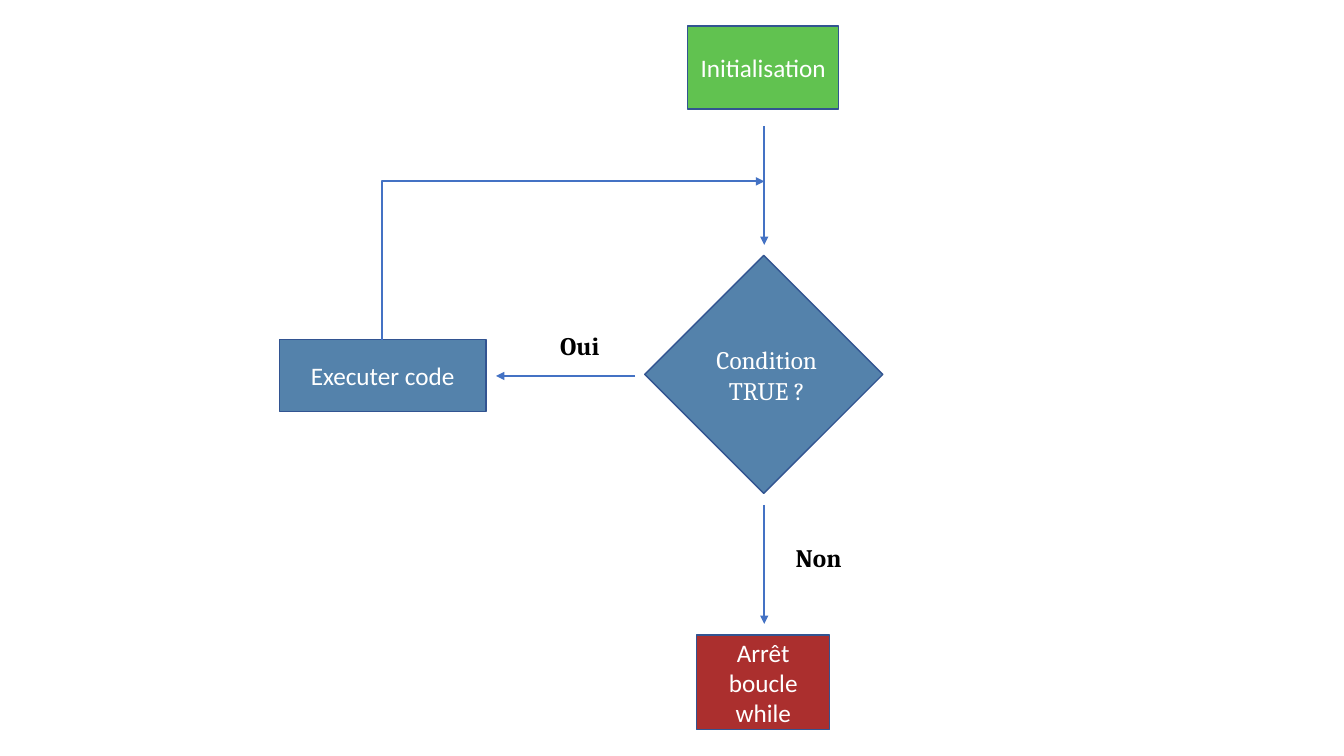
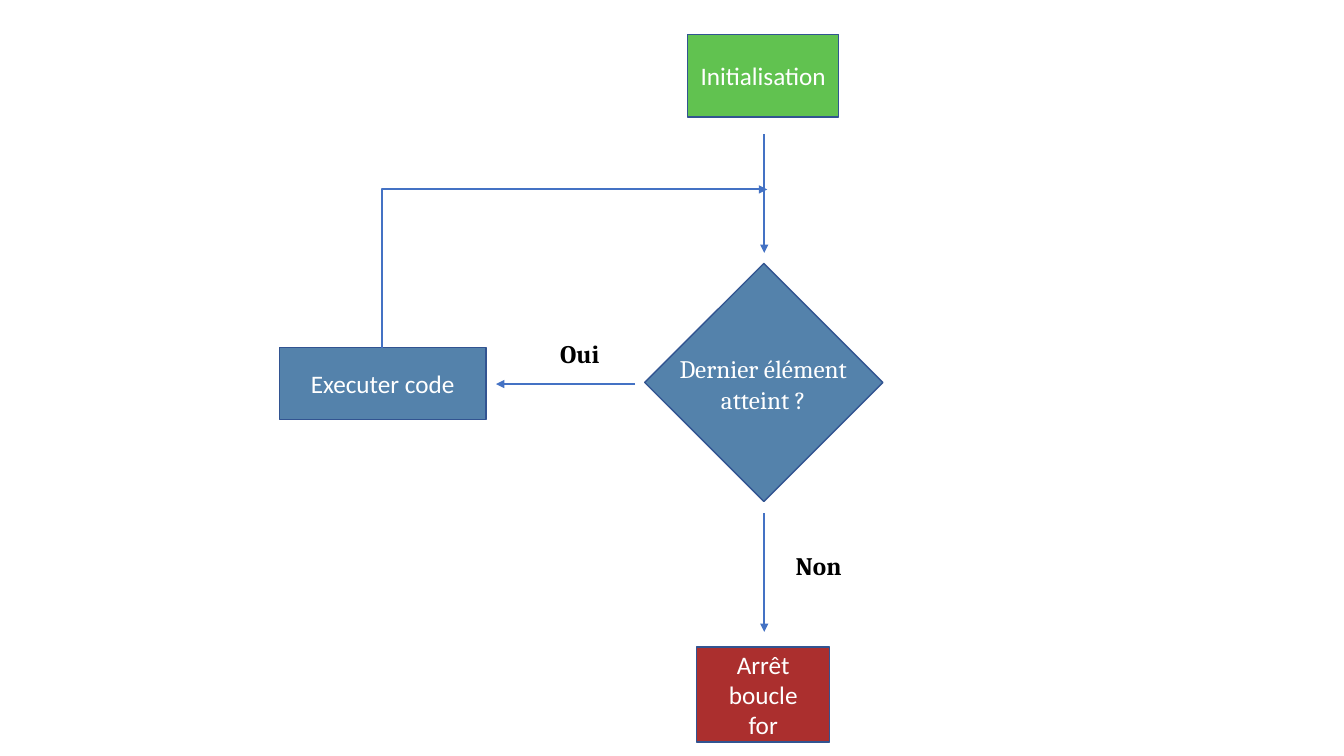
"""Draw the flowcharts of the while loop and the for loop, one per slide."""
from dataclasses import dataclass

from lxml import etree
from pptx import Presentation
from pptx.dml.color import RGBColor
from pptx.enum import shapes, text
from pptx.oxml import ns
from pptx.util import Inches, Pt

WHITE = RGBColor(0xFF, 0xFF, 0xFF)
BLACK = RGBColor(0x00, 0x00, 0x00)
STEEL = RGBColor(0x54, 0x82, 0xAB)
GREEN = RGBColor(0x61, 0xC2, 0x50)
RED = RGBColor(0xAB, 0x2F, 0x2E)
BORDER = RGBColor(0x32, 0x54, 0x91)
ARROW = RGBColor(0x44, 0x72, 0xC4)
SHAPE_FONT, LABEL_FONT = "Calibri", "Cambria"
AXIS = 7.58
CODE_AXIS = 3.79


@dataclass(frozen=True)
class Area:
    left: float
    top: float
    width: float
    height: float

    def lengths(self):
        return [Inches(value) for value in (self.left, self.top, self.width, self.height)]


@dataclass(frozen=True)
class Box:
    area: Area
    fill: RGBColor
    lines: tuple[str, ...] = ()
    rotation: float = 0


@dataclass(frozen=True)
class Label:
    area: Area
    lines: tuple[str, ...]
    color: RGBColor = BLACK
    bold: bool = True


@dataclass(frozen=True)
class Arrow:
    start: tuple[float, float]
    end: tuple[float, float]


@dataclass(frozen=True)
class Loop:
    shift: float
    question: Label
    stop: Box
    return_end: float


def write(frame, lines: tuple[str, ...], font_name: str, color: RGBColor, bold: bool = False) -> None:
    frame.word_wrap = True
    for index, line in enumerate(lines):
        paragraph = frame.paragraphs[0] if index == 0 else frame.add_paragraph()
        paragraph.text = line
        paragraph.alignment = text.PP_ALIGN.CENTER
        font = paragraph.font
        font.name, font.size, font.bold = font_name, Pt(18), bold
        font.color.rgb = color


def draw_box(slide, box: Box) -> None:
    shape = slide.shapes.add_shape(shapes.MSO_SHAPE.RECTANGLE, *box.area.lengths())
    shape.shadow.inherit = False
    shape.rotation = box.rotation
    shape.fill.solid()
    shape.fill.fore_color.rgb = box.fill
    shape.line.color.rgb = BORDER
    shape.line.width = Pt(1)
    shape.text_frame.vertical_anchor = text.MSO_ANCHOR.MIDDLE
    write(shape.text_frame, box.lines, SHAPE_FONT, WHITE)


def draw_label(slide, label: Label) -> None:
    frame = slide.shapes.add_textbox(*label.area.lengths()).text_frame
    write(frame, label.lines, LABEL_FONT, label.color, label.bold)
    frame.auto_size = text.MSO_AUTO_SIZE.SHAPE_TO_FIT_TEXT


def draw_arrow(slide, arrow: Arrow, kind=shapes.MSO_CONNECTOR.STRAIGHT):
    points = [Inches(value) for value in (*arrow.start, *arrow.end)]
    connector = slide.shapes.add_connector(kind, *points)
    connector.line.color.rgb = ARROW
    connector.line.width = Pt(1.5)
    etree.SubElement(connector.line._get_or_add_ln(), ns.qn("a:tailEnd"), type="triangle")
    etree.SubElement(connector._element.spPr, ns.qn("a:effectLst"))
    return connector


def draw_return(slide, arrow: Arrow) -> None:
    """Go up from the start, then right to the end, as a flipped corner turned by 90 degrees."""
    (start_x, start_y), (end_x, end_y) = arrow.start, arrow.end
    middle_x, middle_y = (start_x + end_x) / 2, (start_y + end_y) / 2
    half_width, half_height = (start_y - end_y) / 2, (end_x - start_x) / 2
    turned = Arrow((middle_x + half_width, middle_y + half_height),
                   (middle_x - half_width, middle_y - half_height))
    connector = draw_arrow(slide, turned, shapes.MSO_CONNECTOR.ELBOW)
    properties = connector._element.spPr
    properties.find(ns.qn("a:xfrm")).set("rot", "5400000")
    properties.find(ns.qn("a:prstGeom")).set("prst", "bentConnector2")


def draw_loop(slide, loop: Loop) -> None:
    shift = loop.shift
    draw_box(slide, Box(Area(6.74, 2.88 + shift, 1.67, 1.67), STEEL, rotation=45))
    draw_label(slide, loop.question)
    draw_label(slide, Label(Area(5.2, 3.23 + shift, 1.1, 0.4), ("Oui",)))
    draw_box(slide, Box(Area(2.77, 3.37 + shift, 2.05, 0.71), STEEL, ("Executer code",)))
    draw_return(slide, Arrow((CODE_AXIS, 3.37 + shift), (loop.return_end, 1.8 + shift)))
    draw_box(slide, Box(Area(6.82, 0.26 + shift, 1.5, 0.82), GREEN, ("Initialisation",)))
    for start, end in (((AXIS, 1.25), (AXIS, 2.43)),
                       ((6.3, 3.73), (4.92, 3.73)),
                       ((AXIS, 5.01), (AXIS, 6.19))):
        draw_arrow(slide, Arrow((start[0], start[1] + shift), (end[0], end[1] + shift)))
    draw_label(slide, Label(Area(7.57, 5.33 + shift, 1.1, 0.4), ("Non",)))
    draw_box(slide, loop.stop)


def question(area: Area, *lines: str) -> Label:
    return Label(area, lines, WHITE, False)


def stop(top: float, keyword: str) -> Box:
    return Box(Area(6.91, top, 1.32, 0.94), RED, ("Arrêt boucle", keyword))


LOOPS = (
    Loop(0, question(Area(6.76, 3.37, 1.69, 0.71), "Condition TRUE ?"),
         stop(6.3, "while"), AXIS),
    Loop(0.08, question(Area(6.62, 3.46, 1.9, 0.71), "Dernier élément", "atteint ?"),
         stop(6.42, "for"), 7.61),
)

presentation = Presentation()
presentation.slide_width, presentation.slide_height = Inches(13.33), Inches(7.5)
for loop in LOOPS:
    draw_loop(presentation.slides.add_slide(presentation.slide_layouts[6]), loop)
presentation.save("out.pptx")
